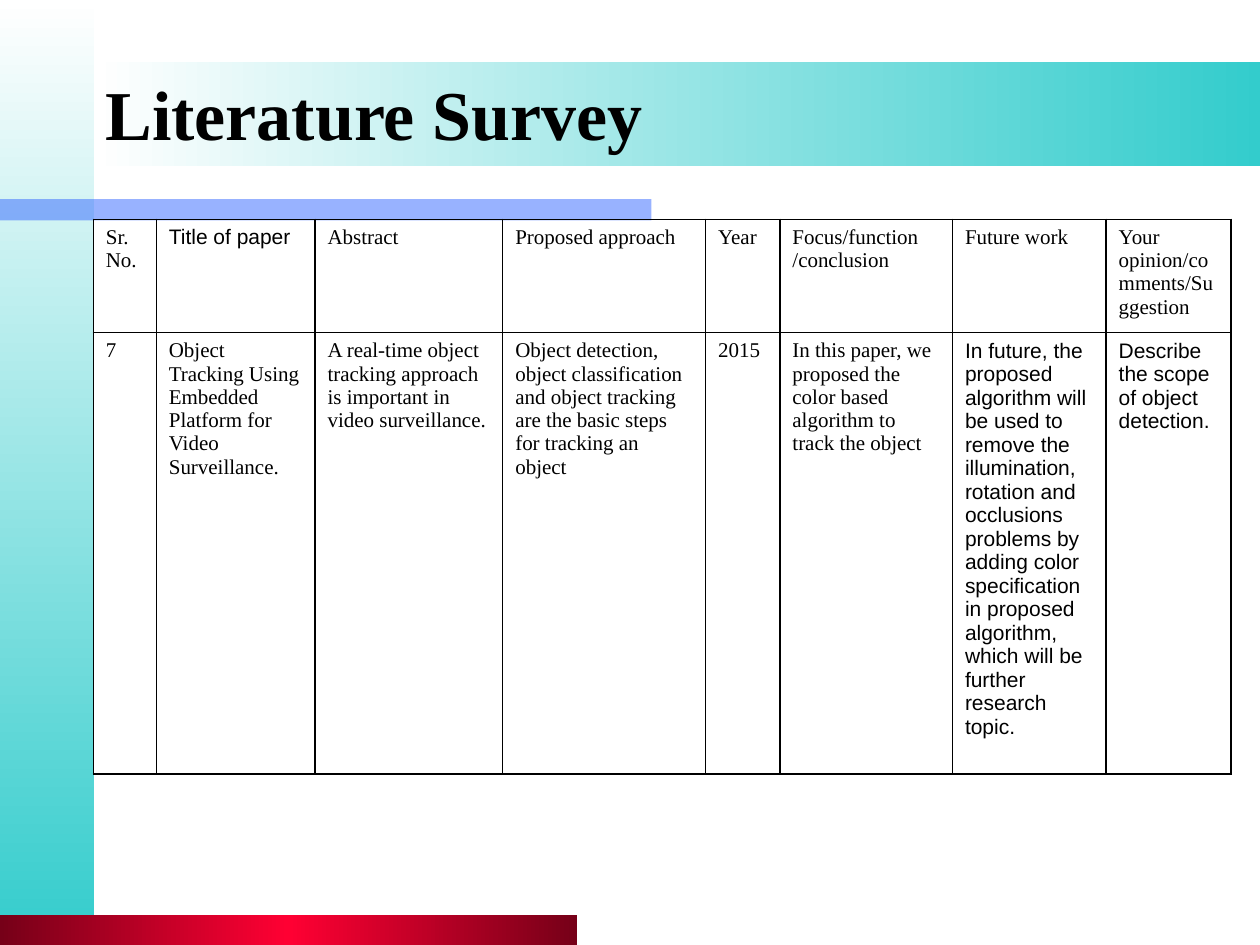
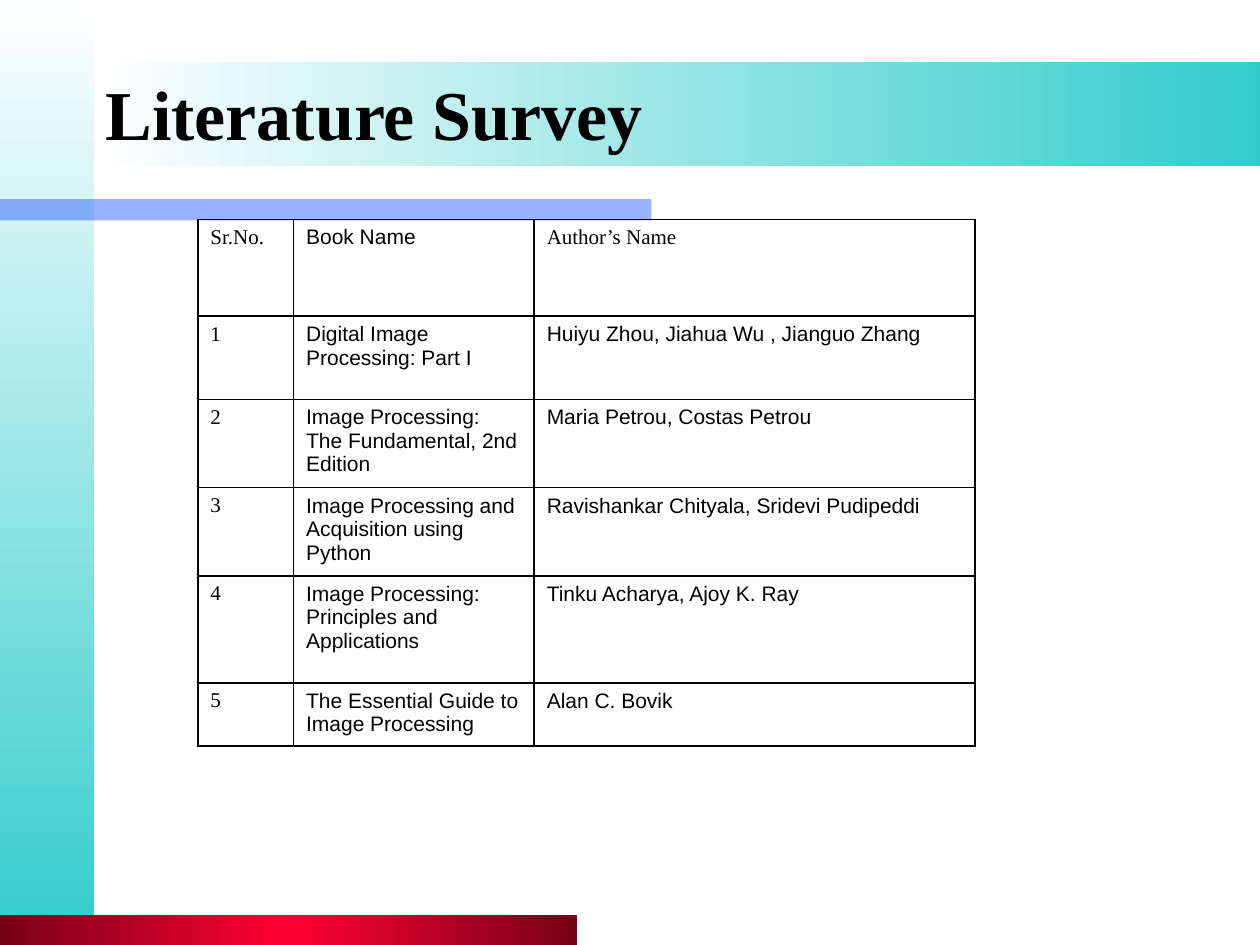
from lxml import etree
from pptx import Presentation, util as u
from pptx.dml.color import RGBColor
from pptx.enum import shapes, text
from pptx.oxml import parse_xml
from pptx.oxml.ns import nsdecls, qn

# Content: font marks are "T" for Times New Roman, "A" for Arial, one per column
TITLE = "Literature Survey"
SURVEYS = [
    {
        "left": 0.74,
        "columns": [0.5, 1.26, 1.49, 1.61, 0.59, 1.37, 1.22, 0.99],
        "heights": [0.84, 3.27],
        "fonts": ["TATTTTTT", "TTTTTTAA"],
        "rows": [
            ("Sr.No.", "Title of paper", "Abstract", "Proposed approach", "Year",
             "Focus/function\n/conclusion", "Future work",
             "Your opinion/comments/Suggestion"),
            ("7",
             "Object Tracking Using Embedded Platform for Video Surveillance.",
             "A real-time object tracking approach is important in video surveillance.",
             "Object detection, object classification and object tracking are the "
             "basic steps for tracking an object",
             "2015",
             "In this paper, we proposed the color based algorithm to track the object",
             "In future, the proposed algorithm will be used to remove the illumination, "
             "rotation and occlusions problems by adding color specification in proposed "
             "algorithm, which will be further research topic.",
             "Describe the scope of object detection."),
        ],
    },
    {
        "left": 1.57,
        "columns": [0.76, 1.91, 3.5],
        "heights": [0.77, 0.66, 0.66, 0.66, 0.85, 0.48],
        "fonts": ["TAT"] + ["TAA"] * 5,
        "rows": [
            ("Sr.No.", "Book Name", "Author’s Name"),
            ("1", "Digital Image Processing: Part I",
             "Huiyu Zhou, Jiahua Wu , Jianguo Zhang"),
            ("2", "Image Processing: The Fundamental, 2nd Edition",
             "Maria Petrou, Costas Petrou"),
            ("3", "Image Processing and Acquisition using Python",
             "Ravishankar Chityala, Sridevi Pudipeddi"),
            ("4", "Image Processing: Principles and Applications",
             "Tinku Acharya, Ajoy K. Ray"),
            ("5", "The Essential Guide to Image Processing", "Alan C. Bovik"),
        ],
    },
]

# Shared look
WIDTH, HEIGHT = 10, 7.5
SIDE = 0.75
TABLE_TOP = 1.74
COLORS = {"ink": "000000", "paper": "FFFFFF", "teal": "33CCCC",
          "blue": "3366FF", "red": "FF0033", "wine": "760018"}
FONTS = {"T": "Times New Roman", "A": "Arial"}
# Bands: left, top, width, height, colours, angle, opacity in percent
BANDS = [
    (0, 0, SIDE, HEIGHT, ["paper", "teal"], 90, 100),
    (0, 1.58, 5.17, 0.17, ["blue"], 0, 50),
    (0, 7.26, 4.58, 0.24, ["wine", "red", "wine"], 0, 100),
    (SIDE, 0.49, WIDTH - SIDE, 0.83, ["paper", "teal"], 0, 100),
]


def inches(*lengths):
    return [u.Inches(length) for length in lengths]


def write(frame, words, font="T", size=12, bold=False, color="ink"):
    frame.word_wrap = True
    for number, line in enumerate(words.split("\n")):
        paragraph = frame.paragraphs[0] if number == 0 else frame.add_paragraph()
        run = paragraph.add_run()
        run.text = line
        run.font.name = FONTS[font]
        run.font.size = u.Pt(size)
        run.font.bold = bold
        run.font.color.rgb = RGBColor.from_string(COLORS[color])


def gradient(names, angle):
    stops = "".join(
        f'<a:gs pos="{100000 * i // (len(names) - 1)}">'
        f'<a:srgbClr val="{COLORS[name]}"/></a:gs>'
        for i, name in enumerate(names))
    return parse_xml(f'<a:gradFill {nsdecls("a")} rotWithShape="1"><a:gsLst>{stops}'
                     f'</a:gsLst><a:lin ang="{angle * 60000}" scaled="0"/></a:gradFill>')


def add_band(slide, left, top, width, height, names, angle, opacity):
    band = slide.shapes.add_shape(shapes.MSO_SHAPE.RECTANGLE,
                                  *inches(left, top, width, height))
    band.shadow.inherit = False
    band.line.fill.background()
    if len(names) > 1:
        outline = band._element.spPr.find(qn("a:ln"))
        outline.addprevious(gradient(names, angle))
        return
    band.fill.solid()
    band.fill.fore_color.rgb = RGBColor.from_string(COLORS[names[0]])
    tint = band._element.spPr.find(qn("a:solidFill"))[0]
    etree.SubElement(tint, qn("a:alpha"), val=str(opacity * 1000))


def add_title(slide):
    title = slide.shapes.add_textbox(*inches(0.74, 0.27, 8.5, 1.25)).text_frame
    title.vertical_anchor = text.MSO_ANCHOR.MIDDLE
    write(title, TITLE, size=40, bold=True)


def outline_cell(cell):
    properties = cell._tc.get_or_add_tcPr()
    for side in "LRTB":
        properties.append(parse_xml(
            f'<a:ln{side} {nsdecls("a")} w="{u.Pt(1)}"><a:solidFill>'
            f'<a:srgbClr val="{COLORS["ink"]}"/></a:solidFill></a:ln{side}>'))
    cell.fill.background()


def add_survey(slide, survey):
    columns, heights = survey["columns"], survey["heights"]
    table = slide.shapes.add_table(
        len(heights), len(columns),
        *inches(survey["left"], TABLE_TOP, sum(columns), sum(heights))).table
    table.first_row = table.horz_banding = False
    for column, width in zip(table.columns, columns):
        column.width = u.Inches(width)
    for row, height, entries, fonts in zip(table.rows, heights,
                                           survey["rows"], survey["fonts"]):
        row.height = u.Inches(height)
        for cell, entry, font in zip(row.cells, entries, fonts):
            write(cell.text_frame, entry, font=font)
            outline_cell(cell)


def main():
    deck = Presentation()
    deck.slide_width, deck.slide_height = inches(WIDTH, HEIGHT)
    for survey in SURVEYS:
        slide = deck.slides.add_slide(deck.slide_layouts[6])
        for band in BANDS:
            add_band(slide, *band)
        add_title(slide)
        add_survey(slide, survey)
    deck.save("out.pptx")


if __name__ == "__main__":
    main()
